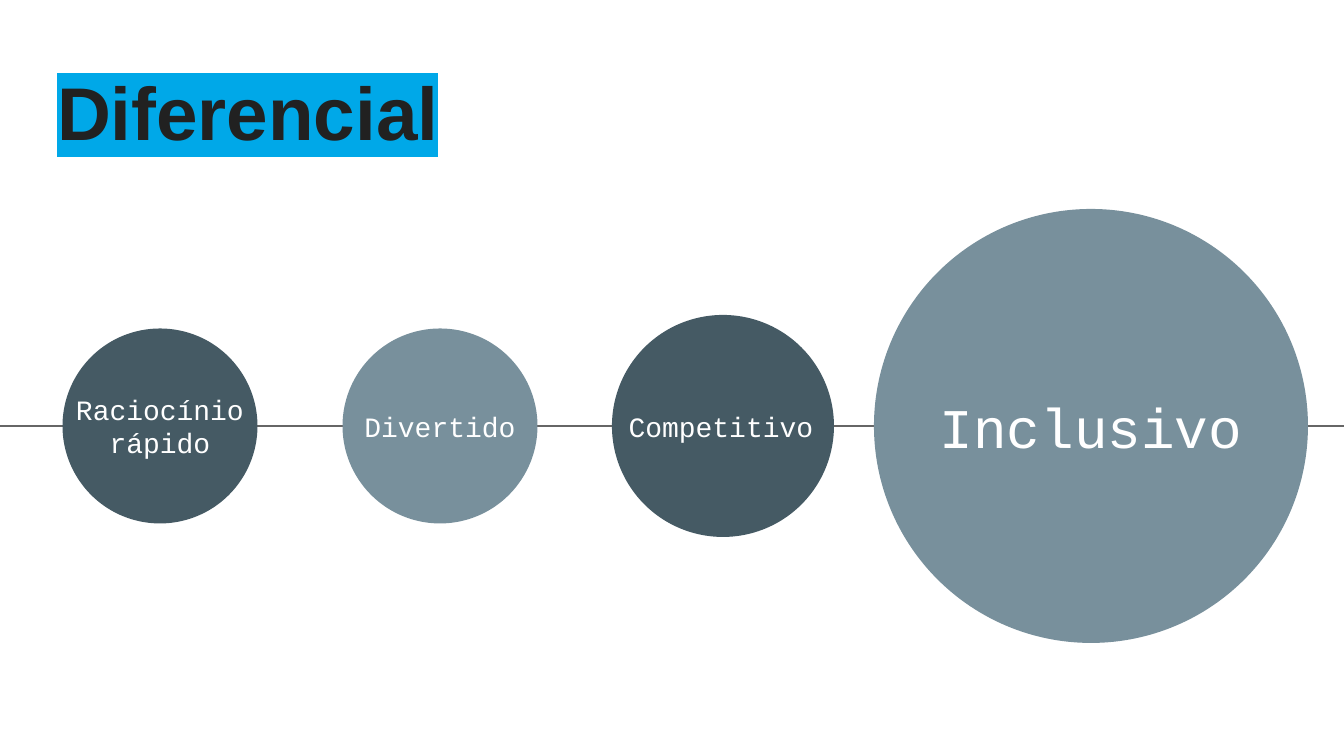
from lxml import etree
from pptx import Presentation
from pptx.dml.color import RGBColor
from pptx.enum.shapes import MSO_CONNECTOR, MSO_SHAPE
from pptx.enum.text import MSO_ANCHOR, PP_ALIGN
from pptx.oxml.ns import qn
from pptx.util import Pt

LINE = MSO_CONNECTOR.STRAIGHT
OVAL = MSO_SHAPE.OVAL
TOP, MIDDLE = MSO_ANCHOR.TOP, MSO_ANCHOR.MIDDLE
LEFT, CENTER = PP_ALIGN.LEFT, PP_ALIGN.CENTER

# Content
TITLE = "Diferencial"
DARK, LIGHT = "455A64", "78909C"
# text, circle centre, diameter, label centre, label width, fill, size
STEPS = [
    ("Raciocínio\nrápido", 160, 195, 160, 195, DARK, 15),
    ("Divertido", 440, 195, 440, 195, LIGHT, 15),
    ("Competitivo", 723, 222, 721, 246, DARK, 15),
    ("Inclusivo", 1091, 434, 1091, 434, LIGHT, 30),
]
WIDTH, HEIGHT = 1344, 756
AXIS = 426
LABEL = 88
PAD = 13


def px(n):
    return round(n * 914400 / 134.4)


def color(code):
    return RGBColor.from_string(code)


def box(mid, wide, high):
    """Place a box centred on the axis."""
    return px(mid - wide / 2), px(AXIS - high / 2), px(wide), px(high)


def write(shape, text, font, size, code, align, anchor, top=PAD):
    frame = shape.text_frame
    frame.text = text
    frame.word_wrap = True
    frame.vertical_anchor = anchor
    frame.margin_left = frame.margin_right = frame.margin_bottom = px(PAD)
    frame.margin_top = px(top)
    for para in frame.paragraphs:
        para.alignment = align
        for run in para.runs:
            run.font.name = font
            run.font.size = Pt(size)
            run.font.color.rgb = color(code)


deck = Presentation()
deck.slide_width, deck.slide_height = px(WIDTH), px(HEIGHT)
slide = deck.slides.add_slide(deck.slide_layouts[5])
shapes = slide.shapes

# Axis line
axis = shapes.add_connector(LINE, px(-1), px(AXIS), px(WIDTH), px(AXIS))
axis.line.color.rgb = color("666666")
axis.line.width = Pt(1.5)
props = axis._element.spPr
etree.SubElement(props, qn("a:effectLst"))

# Title with highlight
title = shapes.title
title.left, title.top, title.width, title.height = map(px, (44, 46, 1255, 110))
write(title, TITLE, "Arial", 40, "212121", LEFT, TOP, top=20)
run = title.text_frame.paragraphs[0].runs[0]
run.font.bold = True
mark = etree.Element(qn("a:highlight"))
etree.SubElement(mark, qn("a:srgbClr"), val="00A8E8")
run._r.rPr.find(qn("a:solidFill")).addnext(mark)

# Circles and labels
for text, mid, size, spot, wide, fill, points in STEPS:
    disc = shapes.add_shape(OVAL, *box(mid, size, size))
    disc.shadow.inherit = False
    disc.fill.solid()
    disc.fill.fore_color.rgb = color(fill)
    disc.line.fill.background()
    label = shapes.add_textbox(*box(spot, wide, LABEL))
    write(label, text, "Courier New", points, "FFFFFF", CENTER, MIDDLE)

deck.save("out.pptx")
